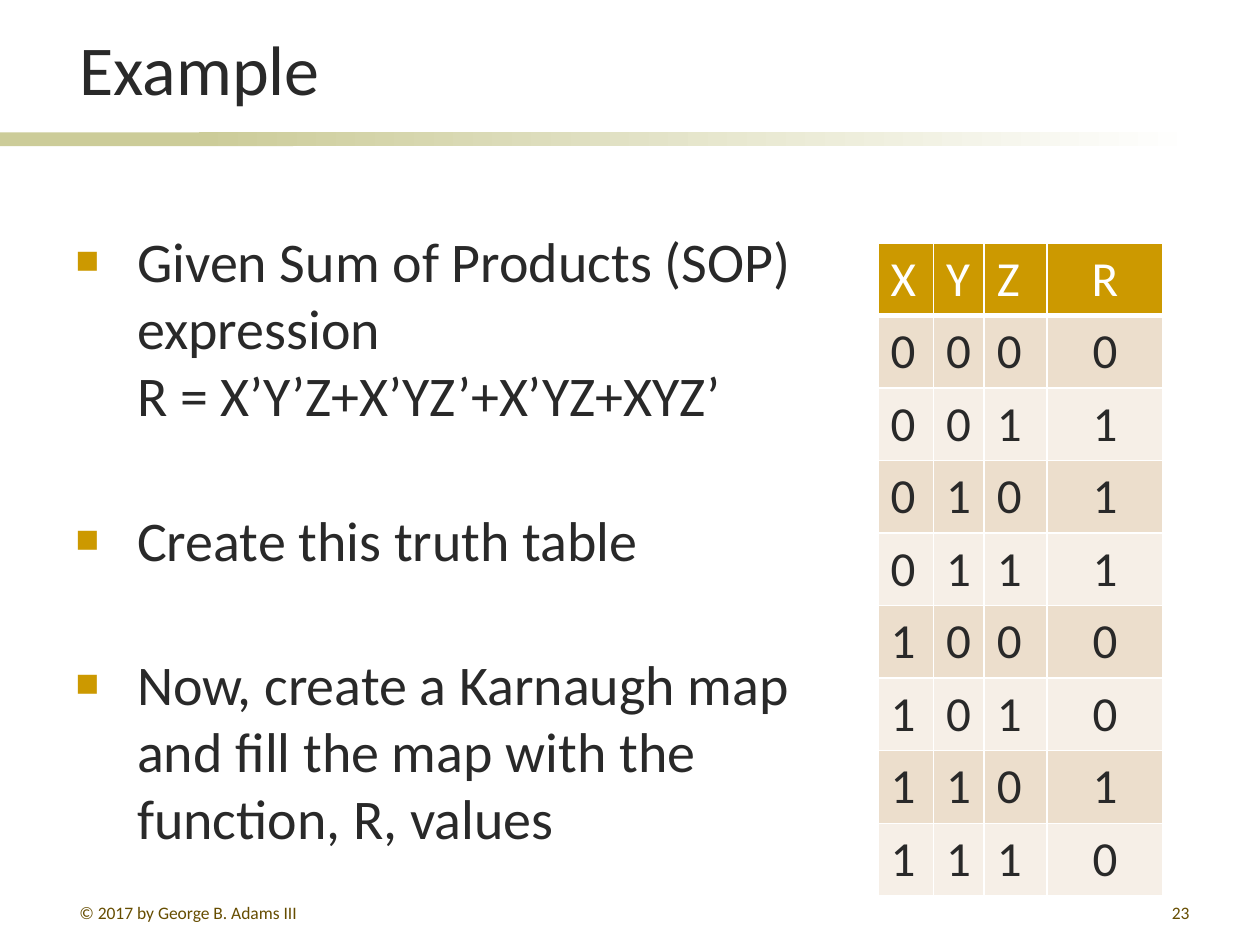
from dataclasses import dataclass

from lxml import etree
from pptx import Presentation
from pptx import util as u
from pptx.dml.color import RGBColor
from pptx.enum import shapes, text
from pptx.oxml import ns


@dataclass(frozen=True)
class Theme:
    font: str = "Calibri"
    ink: str = "292929"
    gold: str = "CC9900"
    sand: str = "CCCC99"
    white: str = "FFFFFF"
    brown: str = "664D00"
    bands: tuple = ("ECDECC", "F6EFE7")
    title: int = 40
    body: int = 32
    cell: int = 28
    small: int = 10


THEME = Theme()
LEFT, MID, RIGHT = text.PP_ALIGN.LEFT, text.PP_ALIGN.CENTER, text.PP_ALIGN.RIGHT
POINTS = [
    "Given Sum of Products (SOP) expression\vR = X’Y’Z+X’YZ’+X’YZ+XYZ’",
    "Create this truth table",
    "Now, create a Karnaugh map and fill the map with the function, R, values",
]
RESULTS = [0, 1, 1, 1, 0, 0, 1, 0]


def rgb(code):
    return RGBColor.from_string(code)


def style(para, size, color, align=LEFT):
    para.alignment = align
    para.font.name = THEME.font
    para.font.size = u.Pt(size)
    para.font.color.rgb = rgb(color)


def place(shape, box):
    shape.left, shape.top, shape.width, shape.height = (u.Cm(n) for n in box)


def add_node(parent, tag, **attrs):
    return etree.SubElement(parent, ns.qn(tag), attrs)


def add_title(slide, box, words):
    title = slide.shapes.title
    place(title, box)
    frame = title.text_frame
    frame.text = words
    frame.vertical_anchor = text.MSO_ANCHOR.BOTTOM
    frame.auto_size = text.MSO_AUTO_SIZE.NONE
    style(frame.paragraphs[0], THEME.title, THEME.ink)


def add_rule(slide, box):
    """Solid band that overlaps a longer band fading to white."""
    left, top, width, height = box
    for start, end, fade in ((0, 0.245, False), (0.166, 1, True)):
        bar = slide.shapes.add_shape(shapes.MSO_SHAPE.RECTANGLE, 0, 0, 0, 0)
        place(bar, (left + start * width, top, (end - start) * width, height))
        bar.shadow.inherit = False
        bar.line.fill.background()
        if fade:
            bar.fill.gradient()
            bar.fill.gradient_angle = 0
            for stop, color in zip(bar.fill.gradient_stops, (THEME.sand, THEME.white)):
                stop.color.rgb = rgb(color)
        else:
            bar.fill.solid()
            bar.fill.fore_color.rgb = rgb(THEME.sand)


def add_bullet(para):
    props = para._p.get_or_add_pPr()
    props.set("marL", str(u.Cm(1.24)))
    props.set("indent", str(-u.Cm(1.24)))
    add_node(add_node(props, "a:buClr"), "a:srgbClr", val=THEME.gold)
    add_node(props, "a:buSzPct", val="70000")
    add_node(props, "a:buChar", char="■")


def add_list(slide, box, points):
    body = slide.placeholders[1]
    place(body, box)
    frame = body.text_frame
    frame.auto_size = text.MSO_AUTO_SIZE.NONE
    for i, words in enumerate(points):
        para = frame.add_paragraph() if i else frame.paragraphs[0]
        para.text = words
        style(para, THEME.body, THEME.ink)
        para.space_before = u.Pt(44 if i else 0)
        add_bullet(para)


def add_edges(cell, base):
    props = cell._tc.get_or_add_tcPr()
    edges = {"a:lnL": 1, "a:lnR": 1, "a:lnT": 1, "a:lnB": base}
    for i, (tag, width) in enumerate(edges.items()):
        line = etree.Element(ns.qn(tag), w=str(u.Pt(width)))
        add_node(add_node(line, "a:solidFill"), "a:srgbClr", val=THEME.white)
        props.insert(i, line)


def add_truth(slide, box, widths, results):
    """Truth table: the inputs count up in binary beside each result."""
    rows = ["XYZR"] + [f"{i:03b}{value}" for i, value in enumerate(results)]
    frame = slide.shapes.add_table(len(rows), len(widths), *(u.Cm(n) for n in box))
    table = frame.table
    for col, width in zip(table.columns, widths):
        col.width = u.Cm(width)
    for r, row in enumerate(rows):
        table.rows[r].height = u.Cm(box[3] / len(rows))
        for c, mark in enumerate(row):
            cell = table.cell(r, c)
            cell.text = mark
            cell.fill.solid()
            cell.fill.fore_color.rgb = rgb(THEME.bands[(r - 1) % 2] if r else THEME.gold)
            style(cell.text_frame.paragraphs[0], THEME.cell,
                  THEME.ink if r else THEME.white, MID if mark == row[-1] and c == 3 else LEFT)
            add_edges(cell, 1 if r else 3)


def add_footer(slide, box, credit, number):
    left, top, width, height = box
    half = width / 2
    for x, words, align in ((left, credit, LEFT), (left + half, number, RIGHT)):
        note = slide.shapes.add_textbox(0, 0, 0, 0)
        place(note, (x, top, half, height))
        note.text_frame.word_wrap = True
        note.text_frame.text = words
        style(note.text_frame.paragraphs[0], THEME.small, THEME.brown, align)


def main():
    deck = Presentation()
    deck.slide_width, deck.slide_height = u.Cm(25.4), u.Cm(19.05)
    slide = deck.slides.add_slide(deck.slide_layouts[1])
    add_rule(slide, (0, 2.67, 24.13, 0.28))
    add_title(slide, (1.35, 0.28, 22.88, 2.06), "Example")
    add_list(slide, (1.27, 4.44, 15.11, 12.57), POINTS)
    add_truth(slide, (17.7, 4.9, 5.74, 12.96), (1.12, 1.02, 1.27, 2.33), RESULTS)
    add_footer(slide, (1.35, 18.06, 22.88, 0.53), "© 2017 by George B. Adams III", "23")
    deck.save("out.pptx")


if __name__ == "__main__":
    main()
